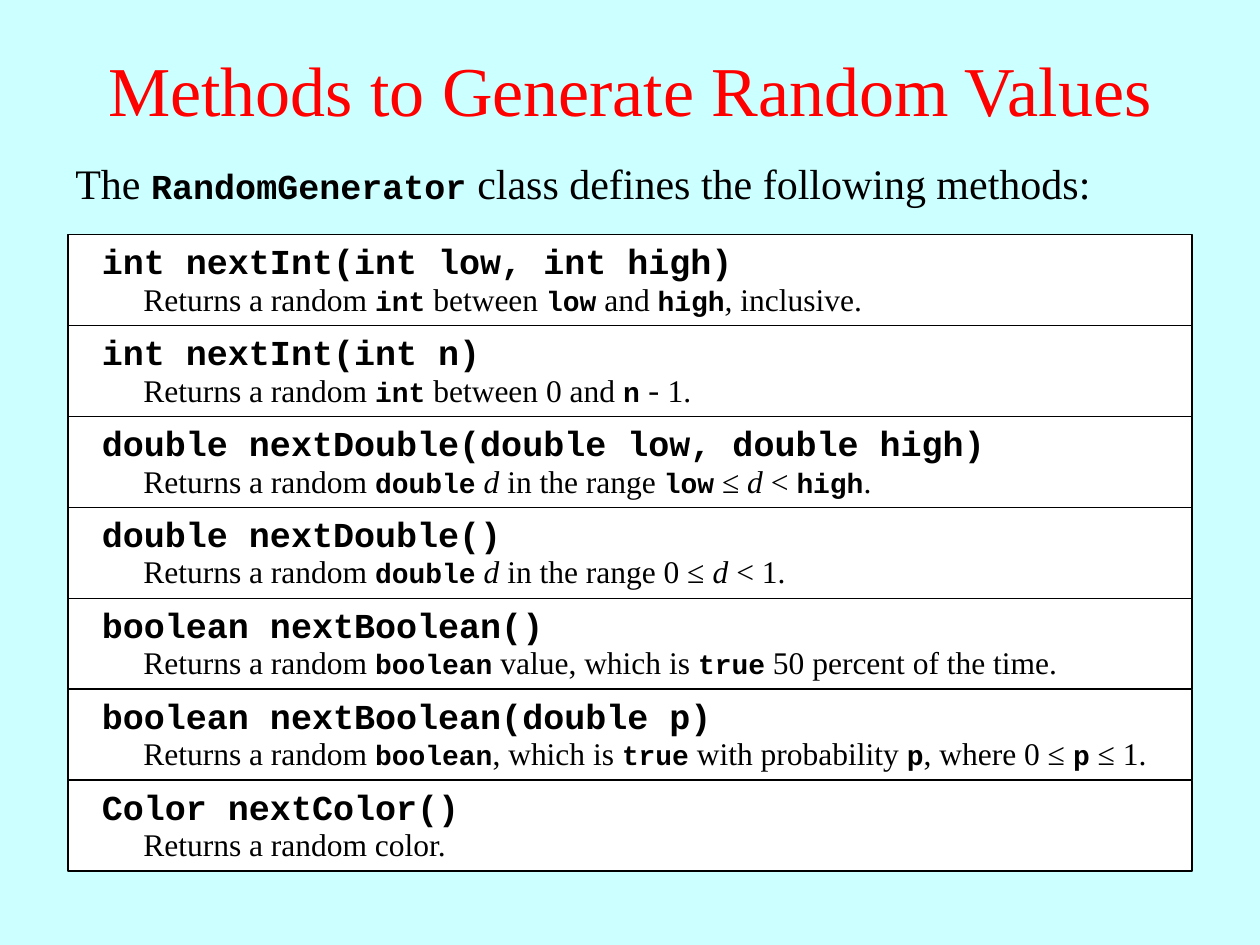
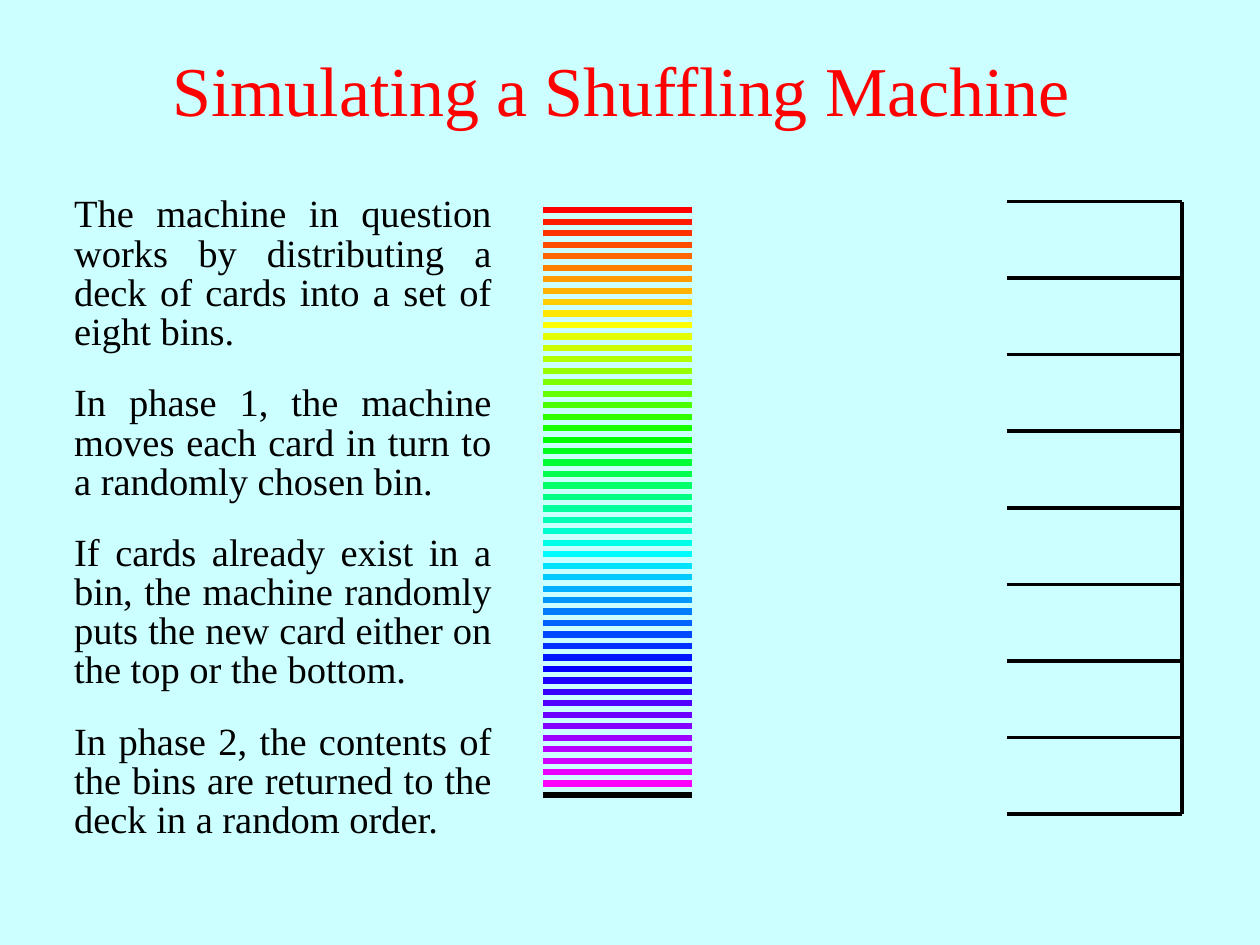
import colorsys
from lxml import etree
from pptx import Presentation
from pptx import util as u
from pptx.dml.color import RGBColor
from pptx.enum import shapes, text
from pptx.oxml import ns

SKY = RGBColor(0xCC, 0xFF, 0xFF)
RED = RGBColor(0xFF, 0x00, 0x00)
BLACK = RGBColor(0x00, 0x00, 0x00)
WHITE = RGBColor(0xFF, 0xFF, 0xFF)

COLUMNS, ROWS = 100, 75
SERIF, MONO = "Times New Roman", "Courier New"

TITLE = {"name": SERIF, "size": u.Pt(40)}
INTRO = {"name": SERIF, "size": u.Pt(24)}
BODY = {"name": SERIF, "size": u.Pt(22)}
DETAIL = {"name": SERIF, "size": u.Pt(18)}
SIGNATURE = {"name": MONO, "size": u.Pt(20), "bold": True}

MARKS = {
    "`": {"name": MONO, "size": u.Pt(16), "bold": True},
    "#": SIGNATURE,
    "_": {"italic": True},
    "~": {"name": MONO},
    "^": {"size": u.Pt(10)},
}

CENTERED = {"alignment": text.PP_ALIGN.CENTER}
INTRO_PARA = {"alignment": text.PP_ALIGN.JUSTIFY, "line_spacing": 0.9}
BODY_PARA = {"alignment": text.PP_ALIGN.JUSTIFY, "line_spacing": 0.85}
METHOD_PARA = {"space_before": u.Pt(4)}

METHODS = [
    ("int nextInt(int low, int high)",
     "Returns a random `int` between `low` and `high`_,_ inclusive."),
    ("int nextInt(int n)",
     "Returns a random `int` between 0 and `n`^ ^~-~^ ^1."),
    ("double nextDouble(double low, double high)",
     "Returns a random `double` _d_ in the range `low` ≤ _d_ < `high`."),
    ("double nextDouble()",
     "Returns a random `double` _d_ in the range 0 ≤ _d_ < 1."),
    ("boolean nextBoolean()",
     "Returns a random `boolean` value, which is `true` 50 percent of the time."),
    ("boolean nextBoolean(double p)",
     "Returns a random `boolean`, which is `true` with probability `p`, where 0 ≤ `p` ≤ 1."),
    ("Color nextColor()",
     "Returns a random color."),
]

STEPS = [
    (4, "The machine in question works by distributing a deck of cards into a set of eight bins."),
    (3, "In phase 1, the machine moves each card in turn to a randomly chosen bin."),
    (4, "If cards already exist in a bin, the machine randomly puts the new card "
        "either on the top or the bottom."),
    (3, "In phase 2, the contents of the bins are returned to the deck in a random order."),
]


def set_format(target, values):
    for key, value in values.items():
        setattr(target, key, value)


def split_marks(content):
    pieces, mark, piece = [], None, ""
    for char in content:
        if char in MARKS:
            pieces.append((piece, mark))
            mark, piece = (None if char == mark else char), ""
        else:
            piece += char
    pieces.append((piece, mark))
    return [(piece, MARKS.get(mark, {})) for piece, mark in pieces if piece]


class Painter:
    def __init__(self):
        self.deck = Presentation()
        self.deck.slide_width, self.deck.slide_height = u.Inches(10), u.Inches(7.5)
        fill = self.deck.slide_master.background.fill
        fill.solid()
        fill.fore_color.rgb = SKY
        self.page = None

    def place(self, left, top, width, height):
        across = self.deck.slide_width / COLUMNS
        down = self.deck.slide_height / ROWS
        return [round(left * across), round(top * down),
                round(width * across), round(height * down)]

    def start_page(self, title):
        self.page = self.deck.slides.add_slide(self.deck.slide_layouts[6])
        box = self.label(title, (0, 0.8, 100, 12.5), TITLE, CENTERED, RED)
        set_format(box.text_frame, {"auto_size": text.MSO_AUTO_SIZE.NONE,
                                    "vertical_anchor": text.MSO_ANCHOR.MIDDLE})

    def group(self):
        return self.page.shapes.add_group_shape()

    def label(self, content, area, font, layout, color=BLACK, group=None):
        box = (group or self.page).shapes.add_textbox(*self.place(*area))
        set_format(box.text_frame, {"word_wrap": True,
                                    "auto_size": text.MSO_AUTO_SIZE.SHAPE_TO_FIT_TEXT})
        para = box.text_frame.paragraphs[0]
        set_format(para, layout)
        for piece, change in split_marks(content):
            span = para.add_run()
            span.text = piece
            set_format(span.font, {**font, **change})
            span.font.color.rgb = color
        return box

    def panel(self, area, group):
        box = group.shapes.add_shape(shapes.MSO_SHAPE.RECTANGLE, *self.place(*area))
        box.shadow.inherit = False
        box.fill.solid()
        box.fill.fore_color.rgb = WHITE
        box.line.color.rgb = BLACK
        box.line.width = u.Pt(0.75)

    def rule(self, start, end, color, weight):
        line = self.page.shapes.add_connector(
            shapes.MSO_CONNECTOR.STRAIGHT, *self.place(*start, *end))
        line.line.color.rgb = color
        line.line.width = u.Pt(weight)
        etree.SubElement(line._element.spPr, ns.qn("a:effectLst"))


def draw_methods(painter):
    painter.start_page("Methods to Generate Random Values")
    painter.label("The #RandomGenerator# class defines the following methods:",
                  (5, 12.5, 90, 4.6), INTRO, INTRO_PARA)
    first, height = 18.6, 7.22
    for index, (signature, detail) in enumerate(METHODS):
        top = first + index * height
        group = painter.group()
        painter.panel((5.4, top, 89.2, height), group)
        painter.label(signature, (7.1, top - 0.1, 85.8, 4.4),
                      SIGNATURE, METHOD_PARA, group=group)
        painter.label(detail, (10.4, top + 3.1, 83.3, 4),
                      DETAIL, METHOD_PARA, group=group)


def draw_machine(painter):
    painter.start_page("Simulating a Shuffling Machine ")
    top, line_height, padding, gap = 15.1, 3.15, 0.9, 1.5
    for lines, step in STEPS:
        height = lines * line_height + padding
        painter.label(step, (4.9, top, 35.1, height), BODY, BODY_PARA)
        top += height + gap

    bins, first, last, mouth, wall = 8, 16, 64.6, 79.9, 93.8
    for index in range(bins + 1):
        row = first + index * (last - first) / bins
        painter.rule((mouth, row), (wall, row), BLACK, 2)
    painter.rule((wall, first), (wall, last), BLACK, 2)

    cards, first, last, hue_span = 52, 16.7, 63.1, 301.2
    for index in range(cards):
        row = first + index * (last - first) / (cards - 1)
        hue = index * hue_span / (cards - 2) / 360
        rainbow = [round(255 * part) for part in colorsys.hsv_to_rgb(hue, 1, 1)]
        color = BLACK if index == cards - 1 else RGBColor(*rainbow)
        painter.rule((43.1, row), (54.9, row), color, 3.54)


def main():
    painter = Painter()
    draw_methods(painter)
    draw_machine(painter)
    painter.deck.save("out.pptx")


if __name__ == "__main__":
    main()
